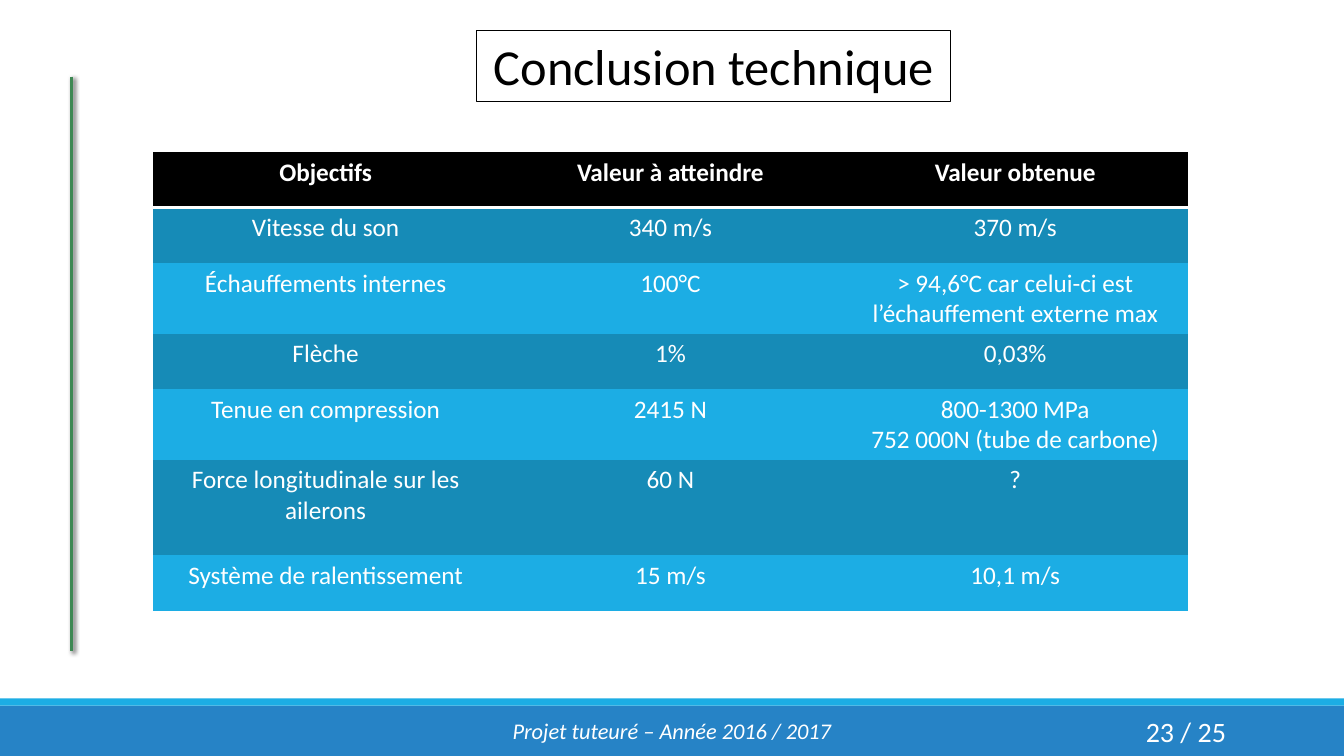
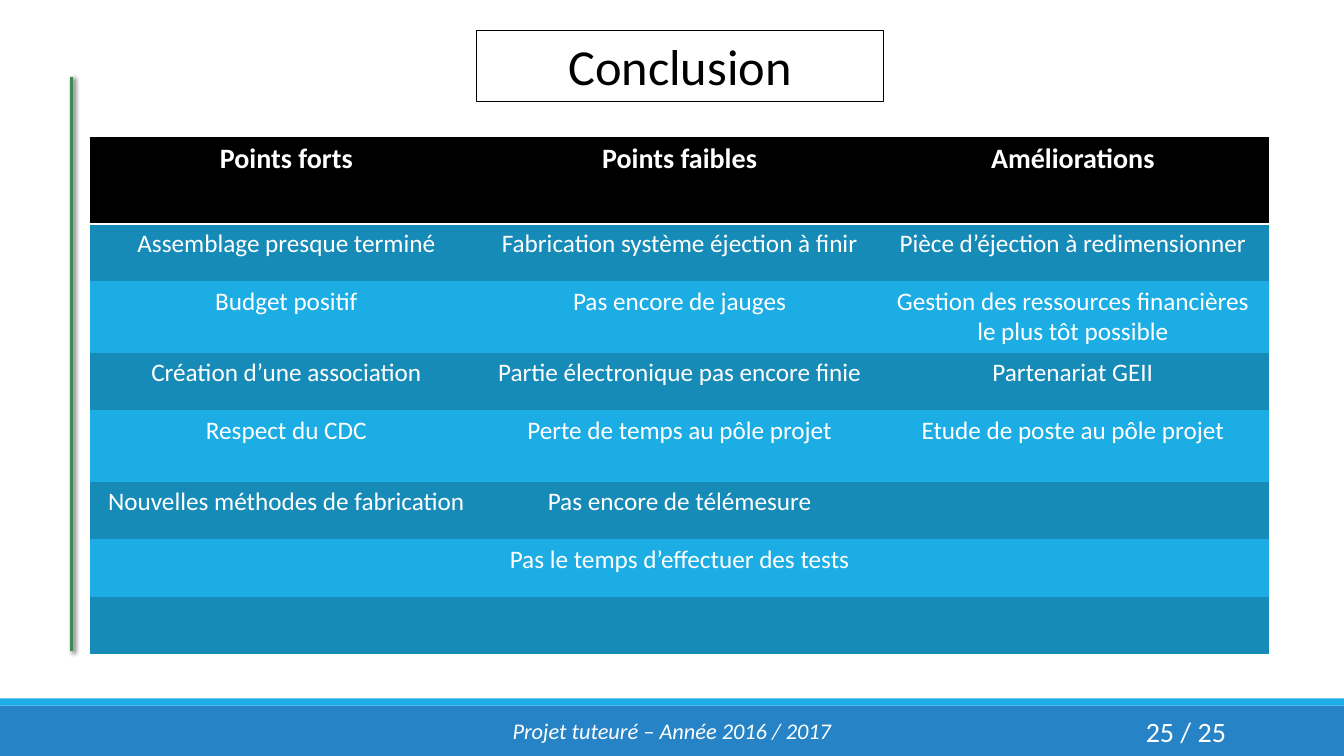
from lxml import etree
from pptx import Presentation
from pptx import util as u
from pptx.dml.color import RGBColor
from pptx.enum import shapes, text
from pptx.oxml import parse_xml
from pptx.oxml.ns import nsdecls, qn

SCALE = 9144  # EMU per px, at 100 px to the inch
WIDTH, HEIGHT = 1333, 750

FONT = "Calibri"
BLACK = RGBColor(0x00, 0x00, 0x00)
WHITE = RGBColor(0xFF, 0xFF, 0xFF)
BLUE = RGBColor(0x26, 0x83, 0xC6)
CYAN = RGBColor(0x1C, 0xAD, 0xE4)
TEAL = RGBColor(0x16, 0x8B, 0xB7)
GREEN = RGBColor(0x3E, 0x88, 0x53)

FOOTER = "Projet tuteuré – Année 2016 / 2017"
PAGE_COUNT = 25
NO_TABLE_STYLE = "{2D5ABB26-0587-4C30-8999-92F81FD0307C}"

GOALS = [
    ("Objectifs", "Valeur à atteindre", "Valeur obtenue"),
    ("Vitesse du son", "340 m/s", "370 m/s"),
    ("Échauffements internes", "100°C",
     "> 94,6°C car celui-ci est l’échauffement externe max"),
    ("Flèche", "1%", "0,03%"),
    ("Tenue en compression", "2415 N",
     "800-1300 MPa\n752 000N (tube de carbone)"),
    ("Force longitudinale sur les ailerons", "60 N", "?"),
    ("Système de ralentissement", "15 m/s", "10,1 m/s"),
]
REVIEW = [
    ("Points forts", "Points faibles", "Améliorations"),
    ("Assemblage presque terminé", "Fabrication système éjection à finir",
     "Pièce d’éjection à redimensionner"),
    ("Budget positif", "Pas encore de jauges",
     "Gestion des ressources financières le plus tôt possible"),
    ("Création d’une association", "Partie électronique pas encore finie",
     "Partenariat GEII"),
    ("Respect du CDC", "Perte de temps au pôle projet",
     "Etude de poste au pôle projet"),
    ("Nouvelles méthodes de fabrication", "Pas encore de télémesure", ""),
    ("", "Pas le temps d’effectuer des tests", ""),
    ("", "", ""),
]


def px(*values):
    return [u.Emu(v * SCALE) for v in values]


def write(tf, content, size, color=WHITE, bold=False, italic=False,
          align=text.PP_ALIGN.CENTER):
    p = tf.paragraphs[0]
    p.text = content
    p.alignment = align
    for r in p.runs:
        r.font.name = FONT
        r.font.size = u.Pt(size)
        r.font.color.rgb = color
        r.font.bold = bold
        r.font.italic = italic


def add_bands(s, layout):
    """Draw the bottom bands once and hand them to the shared layout."""
    for i, (top, height, color) in enumerate([(700, 50, BLUE), (693, 7, CYAN)]):
        sp = s.shapes.add_shape(shapes.MSO_SHAPE.RECTANGLE,
                                *px(0, top, WIDTH, height))
        sp.shadow.inherit = False
        sp.fill.solid()
        sp.fill.fore_color.rgb = color
        sp.line.fill.background()
        sp.element.nvSpPr.cNvPr.set("id", str(50 + i))
        layout.shapes.element.append(sp.element)


def add_title(s, content, width):
    sp = s.shapes.title
    sp.left, sp.top, sp.width, sp.height = px(473, 30, width, 71)
    sp.line.color.rgb = BLACK
    sp.line.width = u.Pt(0.75)
    tf = sp.text_frame
    tf.word_wrap = True
    tf.auto_size = text.MSO_AUTO_SIZE.NONE
    tf.vertical_anchor = text.MSO_ANCHOR.TOP
    write(tf, content, 36, color=BLACK)


def add_side_line(s):
    line = s.shapes.add_connector(shapes.MSO_CONNECTOR.STRAIGHT,
                                  *px(71, 76, 71, 646))
    line.line.color.rgb = GREEN
    line.line.width = u.Pt(2)
    line.element.spPr.append(parse_xml(
        f'<a:effectLst {nsdecls("a")}>'
        f'<a:outerShdw blurRad="{u.Pt(3)}" dist="{u.Pt(2)}" dir="2700000">'
        '<a:srgbClr val="000000"><a:alpha val="60000"/></a:srgbClr>'
        '</a:outerShdw></a:effectLst>'))


def add_text(s, box, content, size, **fmt):
    tf = s.shapes.add_textbox(*px(*box)).text_frame
    tf.word_wrap = True
    tf.vertical_anchor = text.MSO_ANCHOR.MIDDLE
    write(tf, content, size, **fmt)


def add_bottom_border(cell):
    tc_pr = cell._tc.get_or_add_tcPr()
    ln = etree.Element(qn("a:lnB"), w=str(u.Pt(2)))
    fill = etree.SubElement(ln, qn("a:solidFill"))
    etree.SubElement(fill, qn("a:srgbClr"), val=str(WHITE))
    tc_pr.insert(0, ln)


def add_table(s, left, top, col_width, row_heights, rows, header_size):
    n_cols = len(rows[0])
    frame = s.shapes.add_table(
        len(rows), n_cols,
        *px(left, top, col_width * n_cols, sum(row_heights)))
    frame.element.find(".//" + qn("a:tableStyleId")).text = NO_TABLE_STYLE
    table = frame.table
    for col in table.columns:
        col.width = px(col_width)[0]
    for i, (height, row) in enumerate(zip(row_heights, rows)):
        table.rows[i].height = px(height)[0]
        header = i == 0
        for j, content in enumerate(row):
            cell = table.cell(i, j)
            cell.fill.solid()
            cell.fill.fore_color.rgb = BLACK if header else (CYAN, TEAL)[i % 2]
            write(cell.text_frame, content, header_size if header else 18,
                  bold=header)
            if header:
                add_bottom_border(cell)


def add_slide(prs, layout, title, title_width, page):
    s = prs.slides.add_slide(layout)
    add_title(s, title, title_width)
    add_side_line(s)
    add_text(s, (1083, 706, 143, 40), f"{page} / {PAGE_COUNT}", 20,
             align=text.PP_ALIGN.RIGHT)
    add_text(s, (0, 706, WIDTH, 37), FOOTER, 16, italic=True)
    return s


def main():
    prs = Presentation()
    prs.slide_width, prs.slide_height = px(WIDTH, HEIGHT)
    layout = prs.slide_layouts[5]

    # Technical conclusion
    s = add_slide(prs, layout, "Conclusion technique", 470, 23)
    add_bands(s, layout)
    add_table(s, 152, 151, 342, [55, 55, 70, 55, 70, 95, 55], GOALS, 18)

    # General conclusion
    s = add_slide(prs, layout, "Conclusion", 403, 25)
    add_table(s, 89, 136, 390, [86, 57, 71, 57, 71, 57, 57, 57], REVIEW, 20)

    prs.save("out.pptx")


if __name__ == "__main__":
    main()
